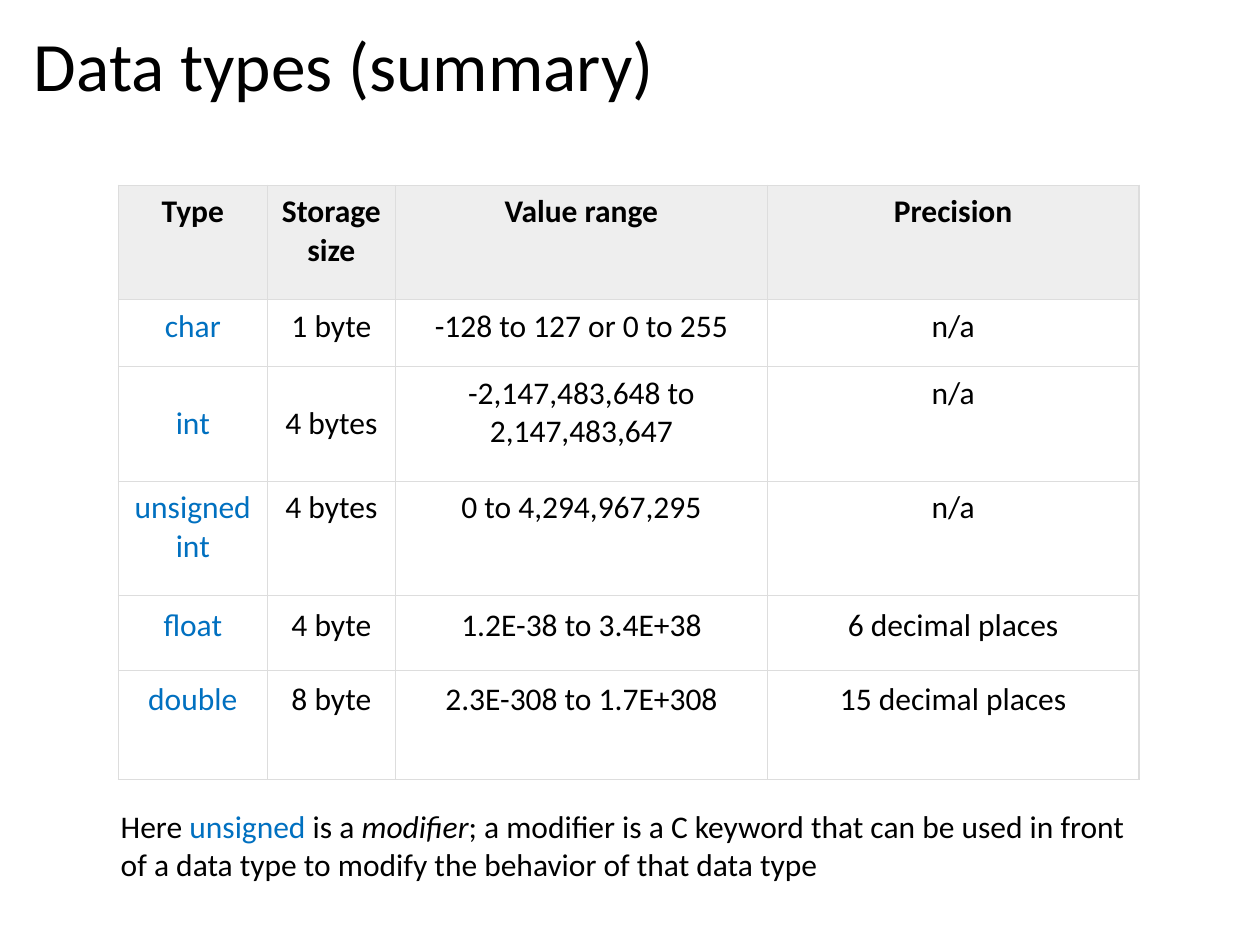
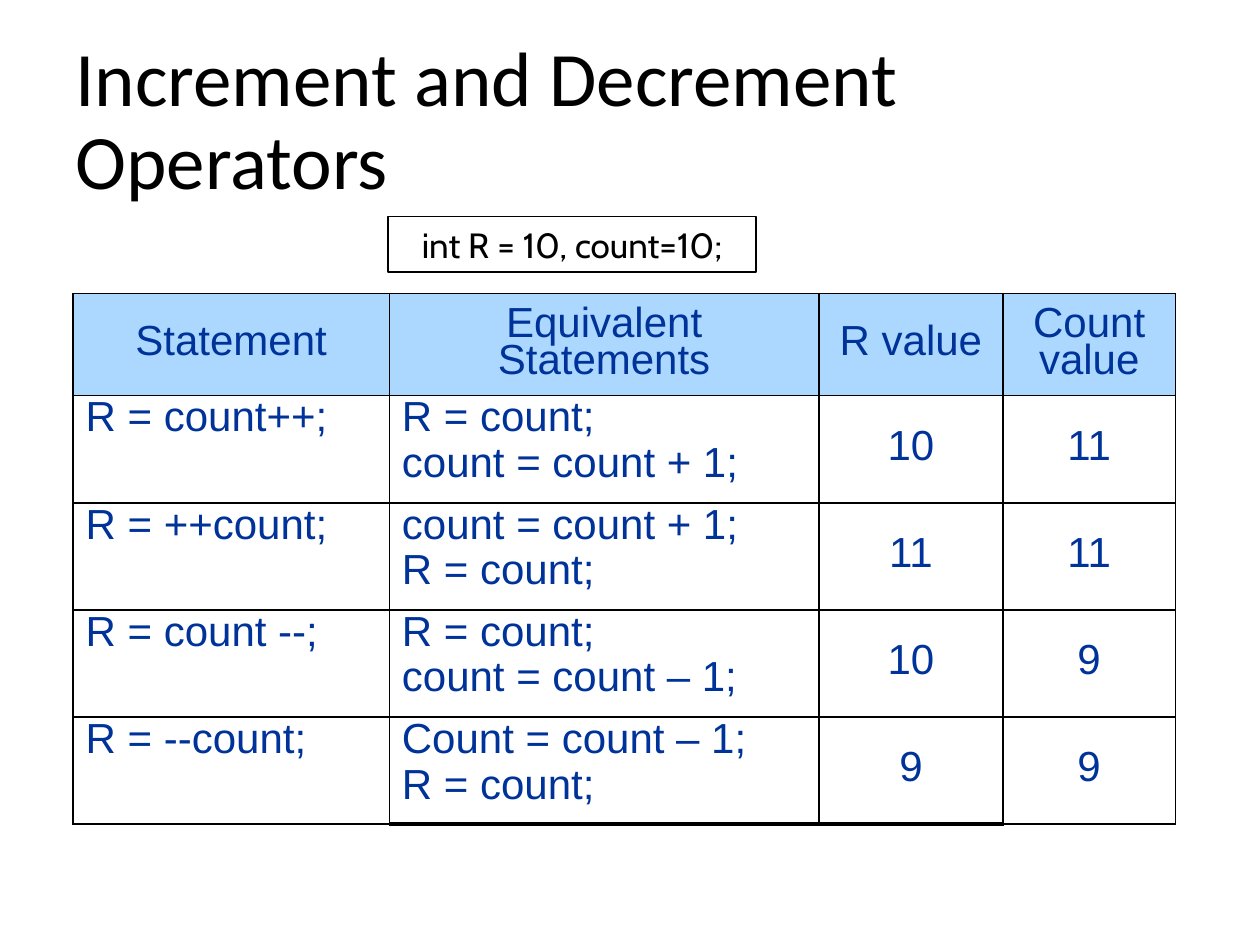
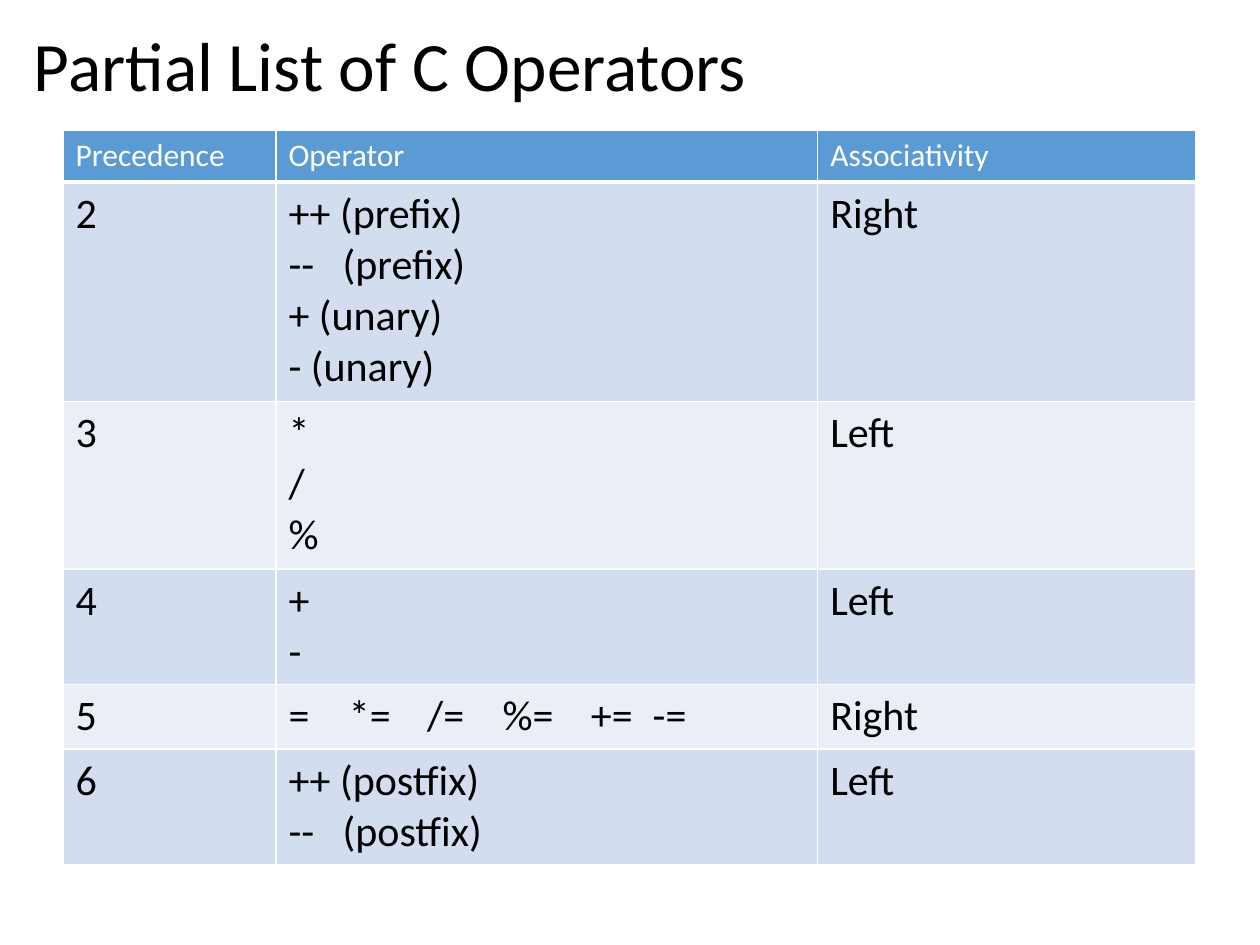
from lxml import etree
from pptx import Presentation
from pptx import util as u
from pptx.dml.color import RGBColor
from pptx.enum import shapes, text
from pptx.oxml.ns import qn

ink = RGBColor.from_string
BLACK, WHITE, KEYWORD, NAVY = "000000", "FFFFFF", "0070C0", "003399"
CENTER, LEFT = text.PP_ALIGN.CENTER, text.PP_ALIGN.LEFT
TOP, MIDDLE = text.MSO_ANCHOR.TOP, text.MSO_ANCHOR.MIDDLE

deck = Presentation()
deck.slide_width, deck.slide_height = u.Inches(10), u.Inches(7.5)
column, row = deck.slide_width / 100, deck.slide_height / 100
units = (column, row, column, row)


def write(frame, content, size=18, font="Calibri", color=BLACK, bold=False, align=LEFT,
          spacing=None, before=0, tabs=()):
    frame.word_wrap = True
    lines = [[(line, {})] for line in content.split("\n")] if isinstance(content, str) else [content]
    for number, pieces in enumerate(lines):
        paragraph = frame.add_paragraph() if number else frame.paragraphs[0]
        paragraph.alignment = align
        paragraph.space_before = u.Pt(before)
        if spacing:
            paragraph.line_spacing = spacing
        if tabs:
            stops = etree.SubElement(paragraph._p.get_or_add_pPr(), qn("a:tabLst"))
            for stop in tabs:
                etree.SubElement(stops, qn("a:tab"), pos=str(u.Inches(stop)), algn="l")
        for words, change in pieces:
            run = paragraph.add_run()
            run.text = words
            run.font.name, run.font.size = font, u.Pt(size)
            run.font.bold, run.font.italic = bold, change.get("italic", False)
            run.font.color.rgb = ink(change.get("color", color))


def grid(slide, left, top, widths, heights, border, weight, thick=()):
    frame = slide.shapes.add_table(len(heights), len(widths), round(left * column), round(top * row),
                                   u.Inches(sum(widths)), u.Inches(sum(heights)))
    table = frame.table
    table.first_row = table.horz_banding = False
    for part, width in zip(table.columns, widths):
        part.width = u.Inches(width)
    for part, height in zip(table.rows, heights):
        part.height = u.Inches(height)
    for r in range(len(heights)):
        for c in range(len(widths)):
            cell = table.cell(r, c)
            for side in "LRTB":
                points = thick[1] if side == "B" and thick and (r, c) in thick[0] else weight
                edge = etree.SubElement(cell._tc.get_or_add_tcPr(), qn("a:ln" + side), w=str(u.Pt(points)))
                fill = etree.SubElement(edge, qn("a:solidFill"))
                etree.SubElement(fill, qn("a:srgbClr"), val=border)
            cell.fill.background()
    return table


types_slide, increment_slide, operators_slide = [
    deck.slides.add_slide(deck.slide_layouts[6]) for _ in range(3)]

title_box = (1.7, 2.4, 96.2, 9.87)
note = [("Here ", {}), ("unsigned", {"color": KEYWORD}), (" is a ", {}), ("modifier", {"italic": True}),
        ("; a modifier is a C keyword that can be used in front of a data type "
         "to modify the behavior of that data type", {})]
captions = [
    (types_slide, "Data types (summary)", title_box, MIDDLE, {"size": 39.6, "spacing": 0.9}),
    (increment_slide, "Increment and Decrement Operators", (5, 3.33, 90, 19.47), MIDDLE,
     {"size": 44, "spacing": 0.9}),
    (operators_slide, "Partial List of C Operators", title_box, MIDDLE, {"size": 39.6, "spacing": 0.9}),
    (types_slide, note, (8.6, 84.8, 83.2, 9.47), TOP, {}),
]
for slide, words, box, anchor, look in captions:
    caption = slide.shapes.add_textbox(*[round(n * unit) for n, unit in zip(box, units)])
    caption.text_frame.vertical_anchor = anchor
    write(caption.text_frame, words, **look)

data_types = [
    ("Type", "Storage size", "Value range", "Precision"),
    ("char", "1 byte", "-128 to 127 or 0 to 255", "n/a"),
    ("int", "4 bytes", "-2,147,483,648 to 2,147,483,647", "n/a"),
    ("unsigned int", "4 bytes", "0 to 4,294,967,295", "n/a"),
    ("float", "4 byte", "1.2E-38 to 3.4E+38", "6 decimal places"),
    ("double", "8 byte", "2.3E-308 to 1.7E+308", "15 decimal places"),
]
types_table = grid(types_slide, 9.4, 19.6, (1.18, 1.02, 2.95, 2.95),
                   (0.91, 0.53, 0.91, 0.91, 0.59, 0.87), "DDDDDD", 0.75)
for r, entries in enumerate(data_types):
    for c, entry in enumerate(entries):
        cell = types_table.cell(r, c)
        inset = u.Inches(0.08 if r > 3 else 0.06)
        cell.margin_left = cell.margin_right = cell.margin_top = cell.margin_bottom = inset
        if r == 0:
            cell.fill.solid()
            cell.fill.fore_color.rgb = ink("EEEEEE")
        if entries[0] == "int" and c < 2:
            cell.vertical_anchor = MIDDLE
        write(cell.text_frame, entry, align=CENTER, bold=r == 0,
              color=KEYWORD if r and c == 0 else BLACK)

declaration_box = (30.8, 22.93, 29.2, 5.87)
declaration = increment_slide.shapes.add_shape(
    shapes.MSO_SHAPE.RECTANGLE, *[round(n * unit) for n, unit in zip(declaration_box, units)])
declaration.shadow.inherit = False
declaration.fill.background()
declaration.line.color.rgb = ink(BLACK)
declaration.line.width = u.Pt(0.75)
write(declaration.text_frame, "int R = 10, count=10;", size=20, font="Cabin", align=CENTER)

statements = [
    ("Statement", "Equivalent Statements", "R value", "Count value"),
    ("R = count++;", "R = count;\ncount = count + 1;", "10", "11"),
    ("R = ++count;", "count = count + 1;\nR = count;", "11", "11"),
    ("R = count --;", "R = count;\ncount = count – 1;", "10", "9"),
    ("R = --count;", "Count = count – 1;\nR = count;", "9", "9"),
]
statement_table = grid(increment_slide, 5.8, 31.07, (2.51, 3.41, 1.46, 1.37),
                       [0.81] + [0.85] * 4, BLACK, 1, thick=([(4, 1), (4, 2)], 2.25))
for r, entries in enumerate(statements):
    for c, entry in enumerate(entries):
        cell = statement_table.cell(r, c)
        centered = r == 0 or c > 1
        if r == 0:
            cell.fill.solid()
            cell.fill.fore_color.rgb = ink("ACD7FE")
        cell.vertical_anchor = MIDDLE if centered else TOP
        write(cell.text_frame, entry, size=24, font="Arial", color=NAVY, spacing=0.8, before=4.8,
              align=CENTER if centered else LEFT)

operators = [
    ("Precedence", "Operator", "Associativity"),
    ("2", "++ (prefix)\n--\t(prefix)\n+ (unary)\n- (unary)", "Right"),
    ("3", "*\n/\n%", "Left"),
    ("4", "+\n-", "Left"),
    ("5", "=\t*=\t/=\t%=\t+=\t-=", "Right"),
    ("6", "++ (postfix)\n--\t(postfix)", "Left"),
]
line_counts = [entries[1].count("\n") + 1 for entries in operators[1:]]
operator_table = grid(operators_slide, 5, 13.8, (1.69, 4.3, 3),
                      [0.41] + [0.1 + 0.41 * count for count in line_counts], WHITE, 1,
                      thick=([(0, c) for c in range(3)], 3))
for r, entries in enumerate(operators):
    band = "5B9BD5" if r == 0 else "D2DEEF" if r % 2 else "EAEFF7"
    for c, entry in enumerate(entries):
        cell = operator_table.cell(r, c)
        cell.fill.solid()
        cell.fill.fore_color.rgb = ink(band)
        stops = (0.48, 1.1, 1.7, 2.4, 2.89) if entry.startswith("=") else (0.43,) if "\t" in entry else ()
        write(cell.text_frame, entry, size=24 if r else 18, color=BLACK if r else WHITE, tabs=stops)

deck.save("out.pptx")
